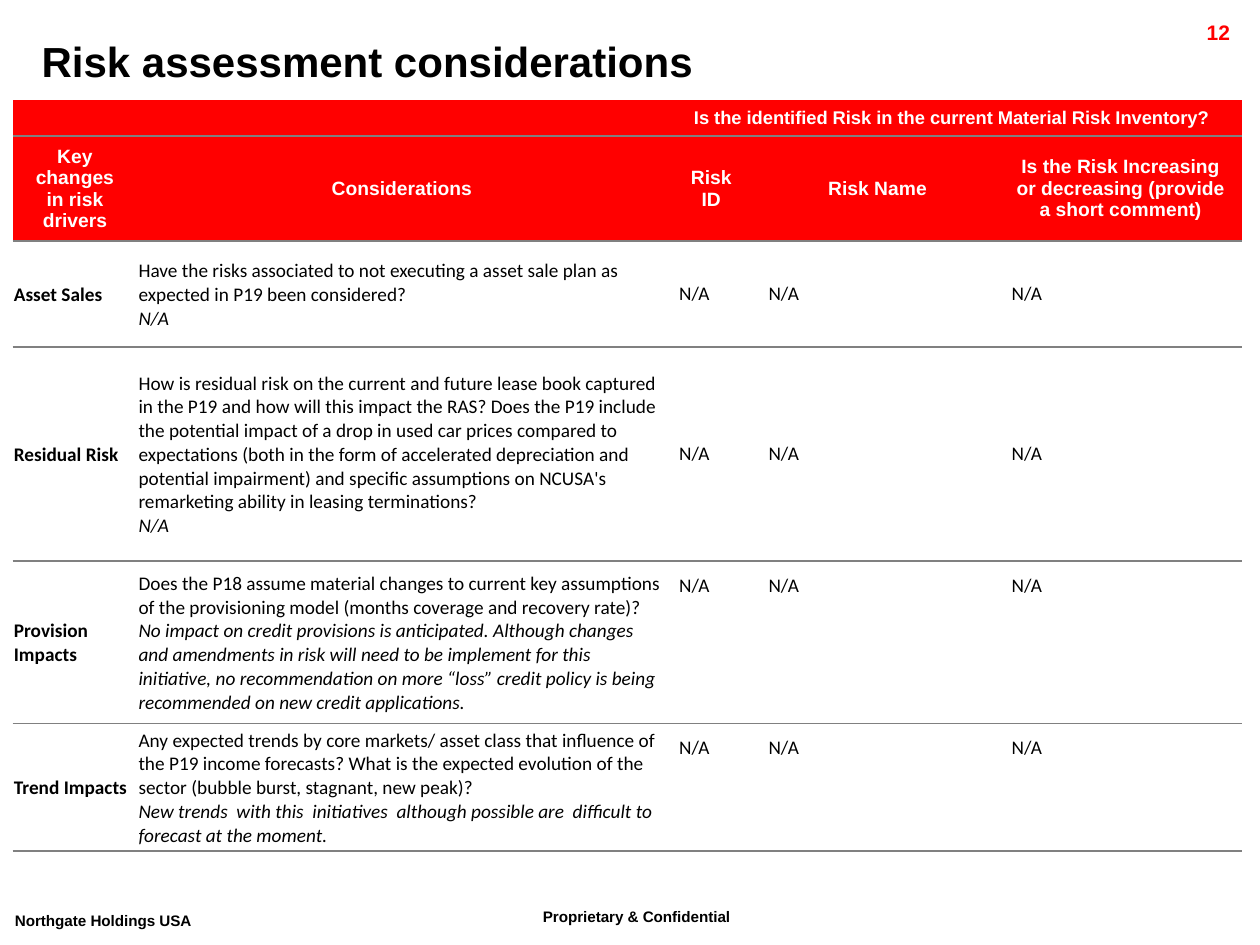
from dataclasses import dataclass

from lxml import etree
from pptx import Presentation
from pptx.dml.color import RGBColor
from pptx.enum.text import MSO_ANCHOR, MSO_AUTO_SIZE, PP_ALIGN
from pptx.oxml.ns import qn
from pptx.util import Inches, Pt

LEFT, MID, RIGHT = PP_ALIGN.LEFT, PP_ALIGN.CENTER, PP_ALIGN.RIGHT
TOP, CENTER = MSO_ANCHOR.TOP, MSO_ANCHOR.MIDDLE
NO_FIT = MSO_AUTO_SIZE.NONE
PLAIN_STYLE = "{2D5ABB26-0587-4C30-8999-92F81FD0307C}"


@dataclass(frozen=True)
class Theme:
    red: str = "FF0000"
    white: str = "FFFFFF"
    black: str = "000000"
    gray: str = "808080"
    head: str = "Arial"
    body: str = "Calibri"
    title: float = 24
    foot: float = 15
    page: float = 12
    band: float = 10.5
    cell: float = 11


THEME = Theme()
COLS = [0.99, 4.2, 0.71, 1.93, 1.93]
ROWS = [0.29, 0.83, 0.84, 1.7, 1.29, 1.01]
BAND = "Is the identified Risk in the current Material Risk Inventory? "
HEADS = [
    "Key changes in risk drivers",
    "Considerations",
    "Risk ID",
    "Risk Name",
    "Is the Risk Increasing or decreasing (provide a short comment)",
]
RISKS = [
    ("Asset Sales",
     "Have the risks associated to not executing a asset sale plan as expected "
     "in P19 been considered?",
     "N/A", CENTER),
    ("Residual Risk",
     "How is residual risk on the current and future lease book captured in the "
     "P19 and how will this impact the RAS? Does the P19 include the potential "
     "impact of a drop in used car prices compared to expectations (both in the "
     "form of accelerated depreciation and potential impairment) and specific "
     "assumptions on NCUSA's remarketing ability in leasing terminations?",
     "N/A", CENTER),
    ("Provision Impacts",
     "Does the P18 assume material changes to current key assumptions of the "
     "provisioning model (months coverage and recovery rate)?",
     "No impact on credit provisions is anticipated. Although changes and "
     "amendments in risk will need to be implement for this initiative, no "
     "recommendation on more “loss” credit policy is being recommended on new "
     "credit applications.",
     TOP),
    ("Trend Impacts",
     "Any expected trends by core markets/ asset class that influence of the P19 "
     "income forecasts? What is the expected evolution of the sector (bubble "
     "burst, stagnant, new peak)?",
     "New trends  with this  initiatives  although possible are  difficult to "
     "forecast at the moment.",
     TOP),
]


def write(para, text, size=THEME.cell, face=THEME.head, color=THEME.black,
          bold=False, slant=False, align=LEFT, lift=0):
    para.alignment = align
    run = para.add_run()
    run.text = text
    font = run.font
    font.size, font.name = Pt(size), face
    font.bold, font.italic = bold, slant
    font.color.rgb = RGBColor.from_string(color)
    if lift:
        run._r.get_or_add_rPr().set("baseline", str(lift * 1000))


def add_text(slide, text, box, wrap=True, **style):
    frame = slide.shapes.add_textbox(*map(Inches, box)).text_frame
    frame.word_wrap = wrap
    write(frame.paragraphs[0], text, bold=True, **style)


def add_title(slide, text):
    title = slide.shapes.title
    title.left, title.top = Inches(0.23), Inches(0.23)
    title.width, title.height = Inches(9.82), Inches(0.5)
    frame = title.text_frame
    frame.auto_size, frame.vertical_anchor = NO_FIT, CENTER
    write(frame.paragraphs[0], text, size=THEME.title, bold=True)


def paint(cell, color, sides):
    for side in sides:
        line = etree.SubElement(cell._tc.get_or_add_tcPr(), qn(side), w=str(Pt(1)))
        fill = etree.SubElement(line, qn("a:solidFill"))
        etree.SubElement(fill, qn("a:srgbClr"), val=THEME.gray)
    cell.fill.solid()
    cell.fill.fore_color.rgb = RGBColor.from_string(color)
    para = cell.text_frame.paragraphs[0]
    etree.SubElement(para._p, qn("a:endParaRPr"), sz=str(int(THEME.band * 100)))


def pad(cell, side, base):
    cell.margin_left = cell.margin_right = cell.margin_top = Inches(side)
    cell.margin_bottom = Inches(base)


def fill_head(cell, text, size=THEME.cell):
    cell.vertical_anchor = CENTER
    write(cell.text_frame.paragraphs[0], text, size=size, color=THEME.white,
          bold=True, align=MID)


def fill_risk(cells, name, ask, reply, anchor):
    for cell in cells[:2]:
        pad(cell, 0.01, 0)
        cell.vertical_anchor = CENTER
    write(cells[0].text_frame.paragraphs[0], name, face=THEME.body, bold=True)
    frame = cells[1].text_frame
    write(frame.paragraphs[0], ask, face=THEME.body)
    write(frame.add_paragraph(), reply, face=THEME.body, slant=True)
    for cell in cells[2:]:
        pad(cell, 0.1, 0.1)
        cell.vertical_anchor = anchor
        write(cell.text_frame.paragraphs[0], "N/A", face=THEME.body)


def add_grid(slide):
    box = map(Inches, (0.1, 0.79, sum(COLS), sum(ROWS)))
    table = slide.shapes.add_table(len(ROWS), len(COLS), *box).table
    table._tbl.tblPr.find(qn("a:tableStyleId")).text = PLAIN_STYLE
    table.horz_banding = False
    for col, width in zip(table.columns, COLS):
        col.width = Inches(width)
    for i, (row, height) in enumerate(zip(table.rows, ROWS)):
        row.height = Inches(height)
        sides = ("a:lnT", "a:lnB") if i else ("a:lnB",)
        for cell in row.cells:
            paint(cell, THEME.red if i < 2 else THEME.white, sides)
    table.cell(0, 0).merge(table.cell(0, 1))
    table.cell(0, 2).merge(table.cell(0, 4))
    fill_head(table.cell(0, 2), BAND, size=THEME.band)
    for j, text in enumerate(HEADS):
        fill_head(table.cell(1, j), text)
    for i, risk in enumerate(RISKS, 2):
        fill_risk([table.cell(i, j) for j in range(len(COLS))], *risk)


def main():
    deck = Presentation()
    deck.slide_width, deck.slide_height = Inches(10), Inches(7.5)
    slide = deck.slides.add_slide(deck.slide_layouts[5])
    add_text(slide, "Proprietary & Confidential", (4.21, 7.13, 2.18, 0.35),
             size=THEME.foot, lift=30)
    add_text(slide, "Northgate Holdings USA", (0.02, 7.16, 1.91, 0.35),
             wrap=False, size=THEME.foot, lift=30)
    add_text(slide, "12", (8.91, 0.11, 0.95, 0.24),
             size=THEME.page, color=THEME.red, align=RIGHT)
    add_title(slide, "Risk assessment considerations")
    add_grid(slide)
    deck.save("out.pptx")


if __name__ == "__main__":
    main()
